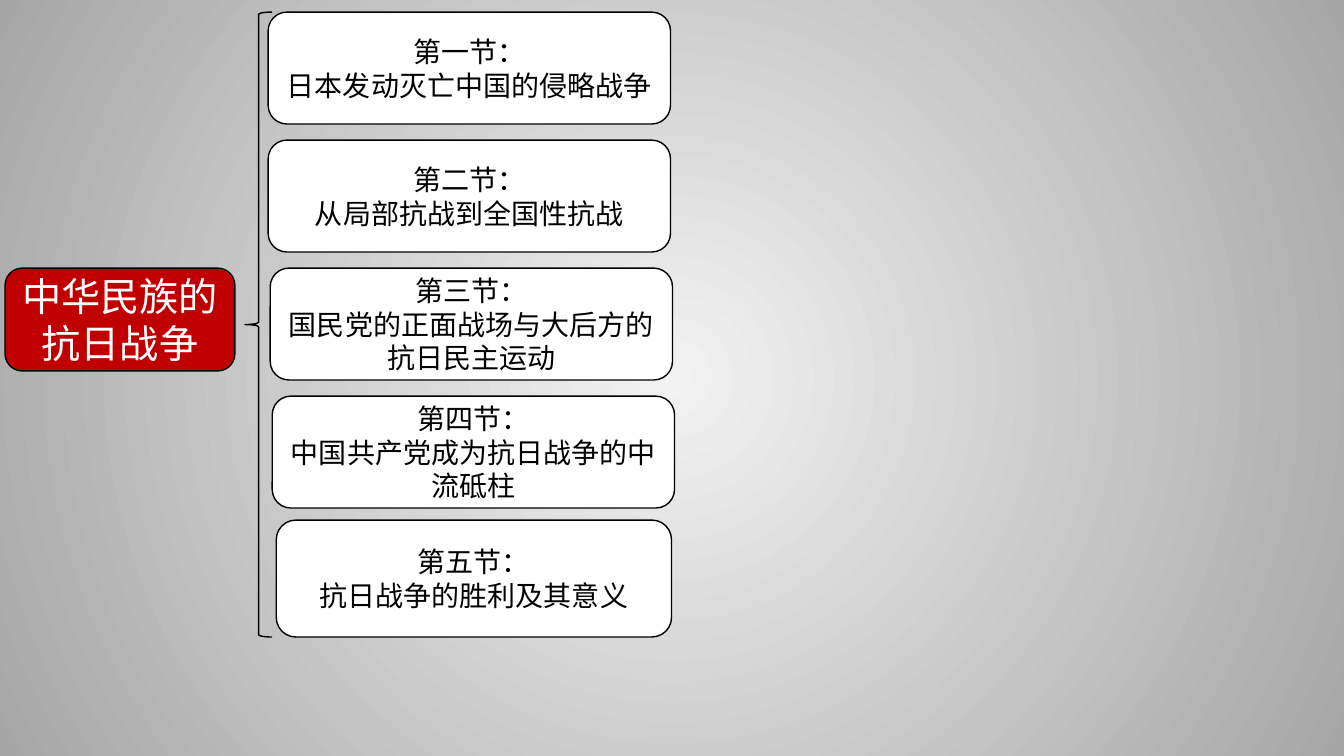
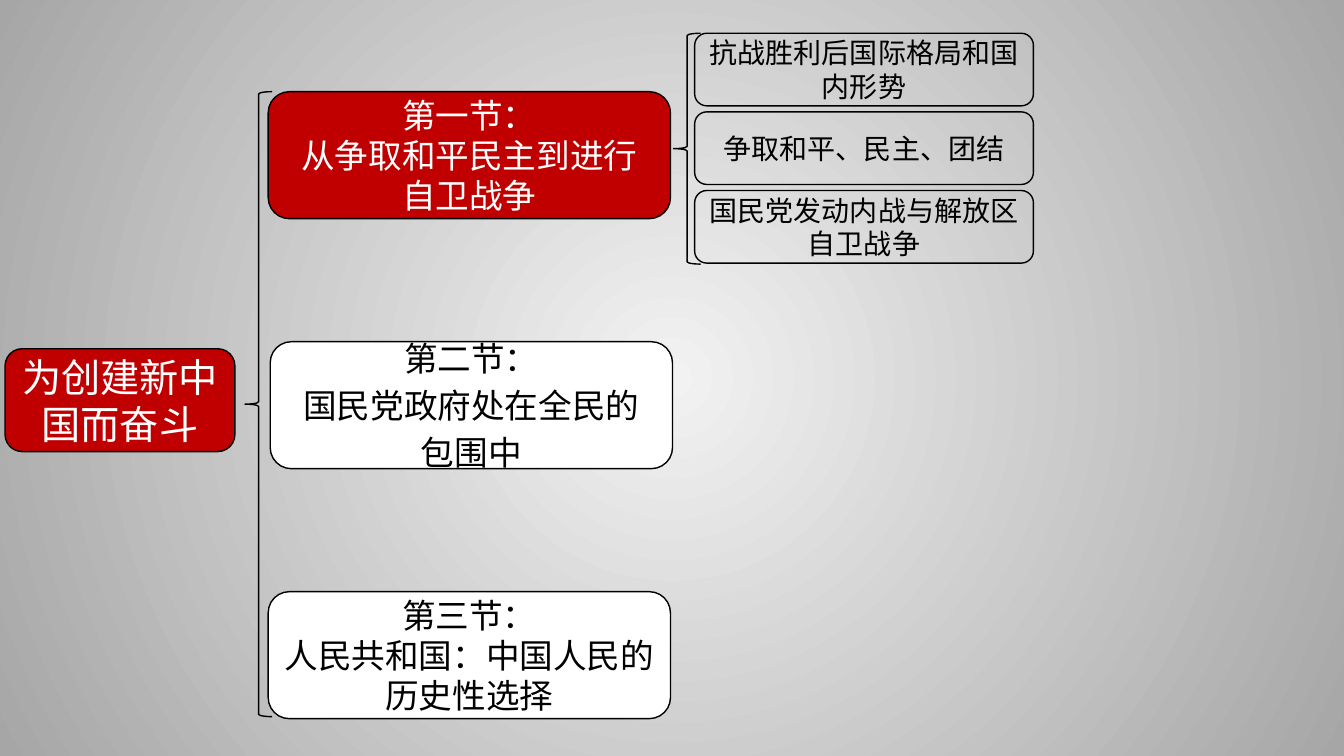
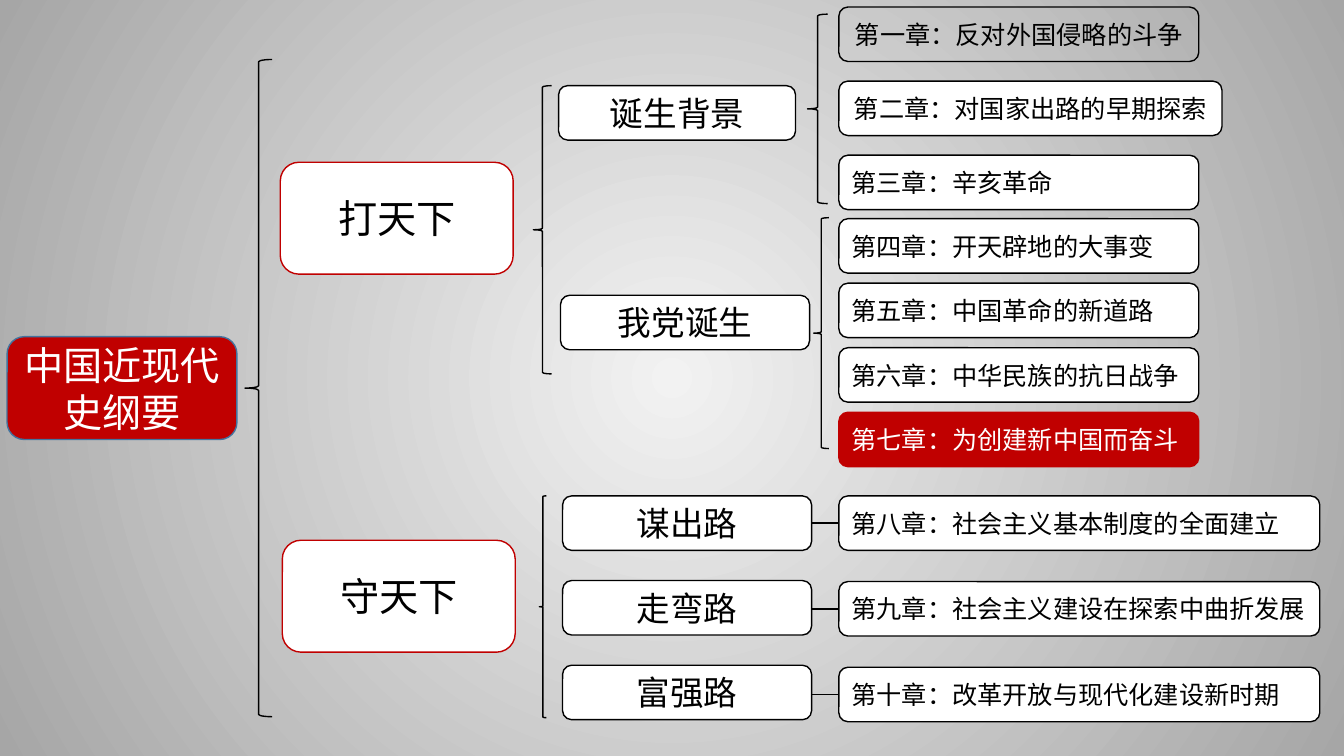
from typing import NamedTuple

from lxml import etree
from pptx import Presentation
from pptx.dml.color import RGBColor
from pptx.enum.shapes import MSO_CONNECTOR, MSO_SHAPE
from pptx.enum.text import MSO_ANCHOR, PP_ALIGN
from pptx.oxml.ns import qn
from pptx.util import Inches, Pt

ROUNDED = MSO_SHAPE.ROUNDED_RECTANGLE
LEFT_BRACE = MSO_SHAPE.LEFT_BRACE
STRAIGHT = MSO_CONNECTOR.STRAIGHT
MIDDLE = MSO_ANCHOR.MIDDLE
LEFT, CENTER = PP_ALIGN.LEFT, PP_ALIGN.CENTER

FONT = "Noto Sans CJK SC"
BLACK = RGBColor(0x00, 0x00, 0x00)
WHITE = RGBColor(0xFF, 0xFF, 0xFF)
RED = RGBColor(0xC0, 0x00, 0x00)
BLUE = RGBColor(0x43, 0x73, 0x9E)
PALE_GRAY = RGBColor(0xF2, 0xF2, 0xF2)
MID_GRAY = RGBColor(0xA6, 0xA6, 0xA6)

BLANK_LAYOUT = 6
LINE_WIDTH = Pt(1)


class Box(NamedTuple):
    """A region in inches."""
    left: float
    top: float
    width: float
    height: float

    def lengths(self):
        return [Inches(value) for value in self]

    def shifted(self, across=0, down=0):
        return self._replace(left=self.left + across, top=self.top + down)


def stack(first, count, pitch):
    """Boxes of one size, each a pitch below the one before."""
    return [first.shifted(down=index * pitch) for index in range(count)]


def set_master_background(master):
    fill = master.background.fill
    fill.gradient()
    for stop, color in zip(fill.gradient_stops, (PALE_GRAY, MID_GRAY)):
        stop.color.rgb = color
    gradient = next(master.element.iter(qn("a:gradFill")))
    gradient.remove(gradient.find(qn("a:lin")))
    radial = etree.SubElement(gradient, qn("a:path"), {"path": "circle"})
    sides = {side: "50000" for side in "ltrb"}
    etree.SubElement(radial, qn("a:fillToRect"), sides)


def write_text(frame, text, size=20, color=BLACK, align=CENTER, space_before=0):
    """Each line of the text becomes a paragraph."""
    frame.word_wrap = True
    frame.vertical_anchor = MIDDLE
    for index, line in enumerate(text.split("\n")):
        paragraph = frame.add_paragraph() if index else frame.paragraphs[0]
        paragraph.alignment = align
        if index and space_before:
            paragraph.space_before = Pt(space_before)
        run = paragraph.add_run()
        run.text = line
        run.font.size = Pt(size)
        run.font.color.rgb = color
        run.font.name = FONT
        properties = run._r.get_or_add_rPr()
        etree.SubElement(properties, qn("a:ea"), {"typeface": FONT})


def add_outline(slide, kind, box, fill=None, line=BLACK):
    shape = slide.shapes.add_shape(kind, *box.lengths())
    shape.shadow.inherit = False
    if fill is None:
        shape.fill.background()
    else:
        shape.fill.solid()
        shape.fill.fore_color.rgb = fill
    shape.line.color.rgb = line
    shape.line.width = LINE_WIDTH
    return shape


def add_node(slide, box, text, fill=WHITE, line=BLACK, **text_format):
    shape = add_outline(slide, ROUNDED, box, fill, line)
    write_text(shape.text_frame, text, **text_format)


def add_brace(slide, box):
    add_outline(slide, LEFT_BRACE, box)


def add_link(slide, left, right, middle):
    """A level line between two nodes."""
    link = slide.shapes.add_connector(
        STRAIGHT, Inches(left), Inches(middle), Inches(right), Inches(middle))
    link.line.color.rgb = BLACK
    link.line.width = LINE_WIDTH
    etree.SubElement(link._element.spPr, qn("a:effectLst"))


def add_root(slide, title, box, brace_box, line=BLACK):
    """The topic at the far left and the brace that opens its branches."""
    add_node(slide, box, title, fill=RED, line=line, size=28, color=WHITE)
    add_brace(slide, brace_box)


def add_column(slide, boxes, texts, **node_format):
    for box, text in zip(boxes, texts):
        add_node(slide, box, text, **node_format)


def build_war_slide(slide):
    add_root(slide, "中华民族的抗日战争",
             Box(0.05, 2.66, 2.28, 1.02), Box(2.43, 0.12, 0.27, 6.2))
    rows = stack(Box(2.66, 0.12, 3.99, 1.11), 4, 1.27)
    indents = (0, 0, 0.02, 0.04)
    boxes = [row.shifted(across=indent) for row, indent in zip(rows, indents)]
    boxes.append(Box(2.74, 5.16, 3.92, 1.16))
    add_column(slide, boxes, (
        "第一节：\n日本发动灭亡中国的侵略战争",
        "第二节：\n从局部抗战到全国性抗战",
        "第三节：\n国民党的正面战场与大后方的抗日民主运动",
        "第四节：\n中国共产党成为抗日战争的中流砥柱",
        "第五节：\n抗日战争的胜利及其意义"))


def build_new_china_slide(slide):
    add_root(slide, "为创建新中国而奋斗",
             Box(0.05, 3.46, 2.28, 1.02), Box(2.43, 0.91, 0.27, 6.2))
    first, second, third = stack(Box(2.66, 0.91, 3.99, 1.26), 3, 2.48)
    add_node(slide, first, "第一节：\n从争取和平民主到进行\n自卫战争",
             fill=RED, size=24, color=WHITE)
    add_node(slide, second.shifted(across=0.02),
             "第二节：\n国民党政府处在全民的\n包围中", size=24, space_before=4.8)
    add_node(slide, third, "第三节：\n人民共和国：中国人民的历史性选择", size=24)

    add_brace(slide, Box(6.68, 0.33, 0.27, 2.29))
    add_column(slide, stack(Box(6.89, 0.33, 3.36, 0.72), 3, 0.78), (
        "抗战胜利后国际格局和国内形势",
        "争取和平、民主、团结",
        "国民党发动内战与解放区自卫战争"), fill=None)


def add_background_chapters(slide, box):
    first, second, third = stack(box, 3, 0.735)
    add_node(slide, first, "第一章：反对外国侵略的斗争", fill=None, size=18)
    add_node(slide, second._replace(width=3.8),
             "第二章：对国家出路的早期探索", size=18)
    add_node(slide, third, "第三章：辛亥革命", size=18, align=LEFT)
    add_brace(slide, Box(box.left - 0.31, box.top + 0.07, 0.2, 1.88))


def add_party_chapters(slide, box):
    *boxes, current = stack(box, 4, 0.64)
    add_column(slide, boxes, (
        "第四章：开天辟地的大事变",
        "第五章：中国革命的新道路",
        "第六章：中华民族的抗日战争"), size=18, align=LEFT)
    add_node(slide, current, "第七章：为创建新中国而奋斗",
             fill=RED, line=RED, size=18, color=WHITE, align=LEFT)
    add_brace(slide, Box(box.left - 0.25, box.top - 0.01, 0.15, 2.29))


def add_governing_paths(slide, box):
    """Three paths, each joined to its chapter."""
    paths = stack(box, 3, 0.84)
    chapters = stack(Box(box.left + 2.74, box.top, 4.77, box.height), 3, 0.85)
    add_column(slide, paths, ("谋出路", "走弯路", "富强路"), size=24)
    add_column(slide, chapters, (
        "第八章：社会主义基本制度的全面建立",
        "第九章：社会主义建设在探索中曲折发展",
        "第十章：改革开放与现代化建设新时期"), size=18, align=LEFT)
    for path_box, chapter in zip(paths, chapters):
        add_link(slide, path_box.left + path_box.width, chapter.left,
                 chapter.top + chapter.height / 2)
    add_brace(slide, Box(box.left - 0.23, box.top, 0.07, 2.2))


def build_overview_slide(slide):
    add_root(slide, "中国近现代史纲要", Box(0.07, 3.34, 2.28, 1.02),
             Box(2.43, 0.59, 0.27, 6.52), line=BLUE)
    eras = (Box(2.78, 1.61, 2.31, 1.11), Box(2.8, 5.36, 2.31, 1.11))
    add_column(slide, eras, ("打天下", "守天下"), line=RED, size=28)

    add_brace(slide, Box(5.29, 0.85, 0.18, 2.86))
    stages = (Box(5.54, 0.85, 2.35, 0.54), Box(5.56, 2.93, 2.47, 0.54))
    add_column(slide, stages, ("诞生背景", "我党诞生"), size=24)

    add_background_chapters(slide, Box(8.32, 0.07, 3.57, 0.54))
    add_party_chapters(slide, Box(8.32, 2.17, 3.57, 0.54))
    add_governing_paths(slide, Box(5.58, 4.92, 2.47, 0.54))


def main():
    presentation = Presentation()
    presentation.slide_width = Inches(13.33)
    presentation.slide_height = Inches(7.5)
    set_master_background(presentation.slide_master)
    layout = presentation.slide_layouts[BLANK_LAYOUT]
    for build in (build_war_slide, build_new_china_slide, build_overview_slide):
        build(presentation.slides.add_slide(layout))
    presentation.save("out.pptx")


if __name__ == "__main__":
    main()
